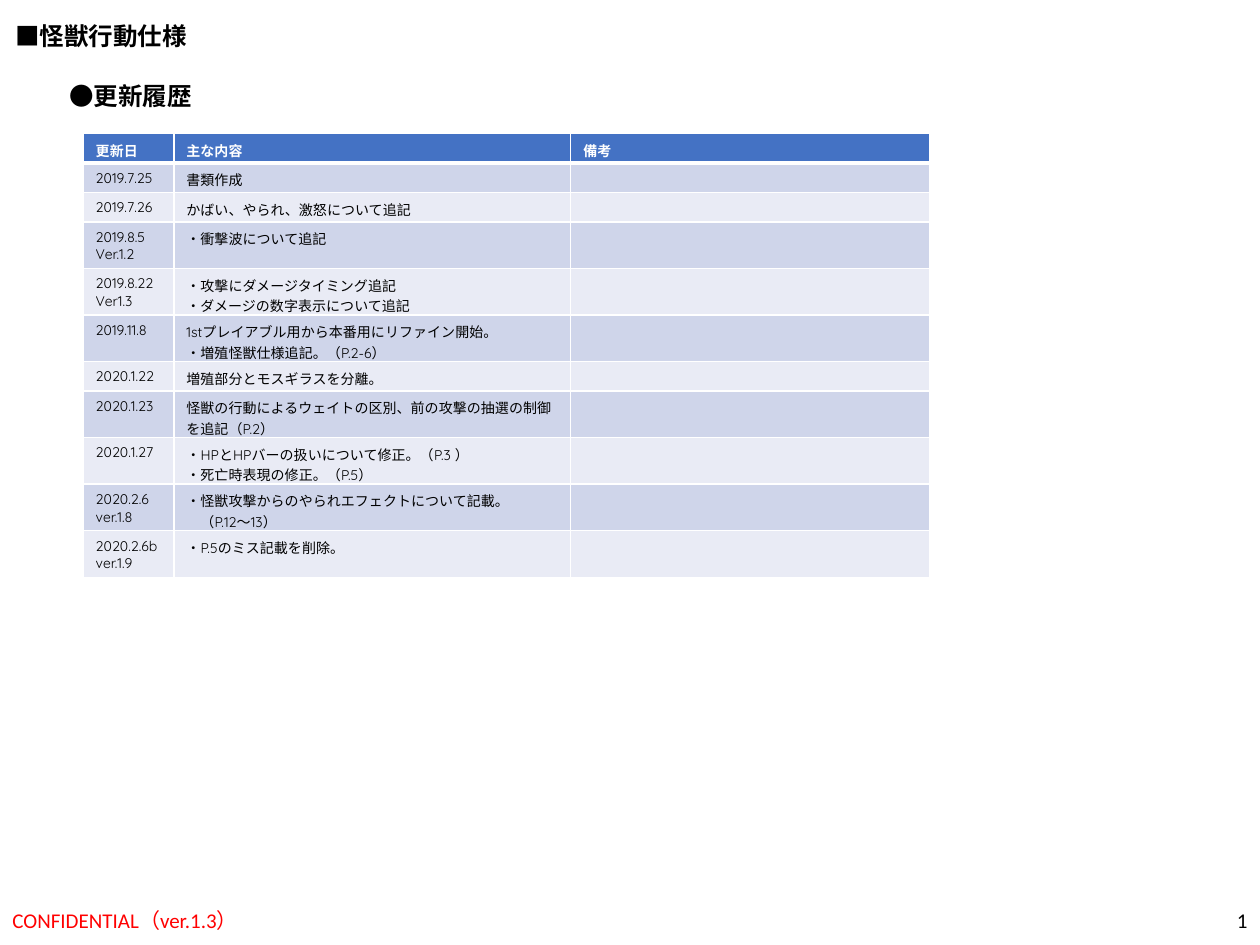
from lxml.etree import SubElement
from pptx import Presentation
from pptx.dml.color import RGBColor
from pptx.enum.text import MSO_ANCHOR, MSO_AUTO_SIZE, PP_ALIGN
from pptx.oxml.ns import qn
from pptx.util import Inches, Pt

COLORS = {"ink": "000000", "white": "FFFFFF", "red": "FF0000",
          "head": "4472C4", "odd": "CFD5EA", "even": "E9EBF5"}
COLS = [0.72, 3.15, 2.85]
ROW, TALL = 0.23, 0.37  # one-line and two-line rows
HEAD = ("更新日", "主な内容", "備考")
LOG = [
    ("2019.7.25", "書類作成", ROW),
    ("2019.7.26", "かばい、やられ、激怒について追記", ROW),
    ("2019.8.5\nVer.1.2", "・衝撃波について追記", TALL),
    ("2019.8.22\nVer1.3", "・攻撃にダメージタイミング追記\n・ダメージの数字表示について追記", TALL),
    ("2019.11.8", "1stプレイアブル用から本番用にリファイン開始。\n・増殖怪獣仕様追記。（P.2-6）", TALL),
    ("2020.1.22", "増殖部分とモスギラスを分離。", ROW),
    ("2020.1.23", "怪獣の行動によるウェイトの区別、前の攻撃の抽選の制御を追記（P.2）", TALL),
    ("2020.1.27", "・HPとHPバーの扱いについて修正。（P.3 ）\n・死亡時表現の修正。（P.5）", TALL),
    ("2020.2.6\nver.1.8", "・怪獣攻撃からのやられエフェクトについて記載。\n　（P.12～13）", TALL),
    ("2020.2.6b\nver.1.9", "・P.5のミス記載を削除。", TALL),
]


def color(name):
    return RGBColor.from_string(COLORS[name])


def style(frame, face, size, ink, bold=False, align=PP_ALIGN.LEFT):
    for para in frame.paragraphs:
        para.alignment = align
        para.font.name, para.font.size = face, Pt(size)
        para.font.bold = bold
        para.font.color.rgb = color(ink)


def place(shape, box):
    shape.left, shape.top, shape.width, shape.height = map(Inches, box)


def heading(shape, box, text, face):
    place(shape, box)
    frame = shape.text_frame
    frame.text = text
    frame.word_wrap = False
    frame.auto_size = MSO_AUTO_SIZE.SHAPE_TO_FIT_TEXT
    frame.vertical_anchor = MSO_ANCHOR.TOP
    style(frame, face, 14, "ink", True)


def footer(slide, box, text, ink, align):
    frame = slide.shapes.add_textbox(*map(Inches, box)).text_frame
    frame.text = text
    frame.word_wrap = True
    frame.vertical_anchor = MSO_ANCHOR.MIDDLE
    style(frame, "Calibri", 12, ink, align=align)


def border(cell, widths):
    props = cell._tc.get_or_add_tcPr()
    for side, width in zip("LRTB", widths):
        line = SubElement(props, qn(f"a:ln{side}"), w=str(Pt(width)))
        fill = SubElement(line, qn("a:solidFill"))
        SubElement(fill, qn("a:srgbClr"), val=COLORS["white"])


def fill_cell(cell, text, row):
    top, base = (3 if row == 1 else 1), (3 if row == 0 else 1)
    border(cell, (1, 1, top, base))
    cell.fill.solid()
    cell.fill.fore_color.rgb = color("head" if row == 0 else "odd" if row % 2 else "even")
    cell.text = text
    style(cell.text_frame, "Quicksand", 8, "ink" if row else "white", row == 0)
    if not text:  # keeps an empty cell from stretching its row
        SubElement(cell.text_frame.paragraphs[0]._p, qn("a:endParaRPr"), sz="800")


def history(slide, left, top):
    rows = [(*HEAD, ROW)] + [(date, note, "", tall) for date, note, tall in LOG]
    size = sum(COLS), sum(row[-1] for row in rows)
    table = slide.shapes.add_table(len(rows), len(COLS),
                                   *map(Inches, (left, top, *size))).table
    for col, width in zip(table.columns, COLS):
        col.width = Inches(width)
    for i, (*texts, tall) in enumerate(rows):
        table.rows[i].height = Inches(tall)
        for j, text in enumerate(texts):
            fill_cell(table.cell(i, j), text, i)


def main():
    deck = Presentation()
    deck.slide_width, deck.slide_height = Inches(10), Inches(7.5)
    slide = deck.slides.add_slide(deck.slide_layouts[5])

    # Headings
    heading(slide.shapes.title, (0.02, 0.12, 1.58, 0.34), "■怪獣行動仕様", "Arial")
    sub = slide.shapes.add_textbox(0, 0, 0, 0)
    heading(sub, (0.45, 0.59, 1.18, 0.34), "●更新履歴", "Quicksand")

    # Update history
    history(slide, 0.66, 1.06)

    # Footer
    footer(slide, (0, 7.1, 3.38, 0.4), "CONFIDENTIAL（ver.1.3）", "red", PP_ALIGN.LEFT)
    footer(slide, (7.75, 7.1, 2.25, 0.4), "1", "ink", PP_ALIGN.RIGHT)

    deck.save("out.pptx")


if __name__ == "__main__":
    main()
